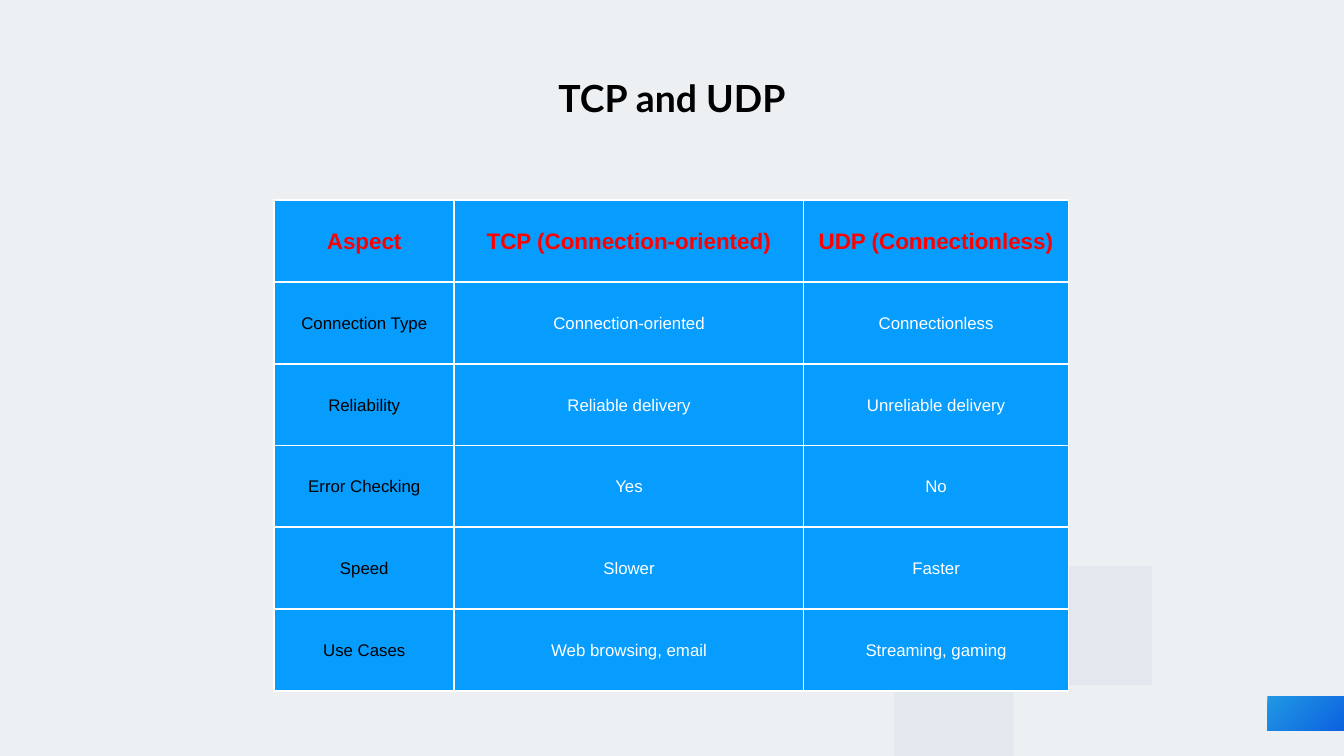
import pptx
import pptx.util
import pptx.dml.color
import pptx.enum.shapes
import pptx.enum.text
import pptx.oxml
import pptx.oxml.ns

Inches, Pt = pptx.util.Inches, pptx.util.Pt
RGBColor = pptx.dml.color.RGBColor
MSO_SHAPE = pptx.enum.shapes.MSO_SHAPE
PP_ALIGN = pptx.enum.text.PP_ALIGN
MSO_ANCHOR = pptx.enum.text.MSO_ANCHOR

BACKGROUND = RGBColor(0xEC, 0xF0, 0xF3)
PALE = RGBColor(0xE2, 0xE8, 0xED)
TAB_START = RGBColor(0x21, 0x98, 0xE4)
TAB_END = RGBColor(0x0C, 0x62, 0xDF)
CELL_BLUE = RGBColor(0x06, 0x9D, 0xFF)
RED = RGBColor(0xFF, 0x00, 0x00)
BLACK = RGBColor(0x00, 0x00, 0x00)
WHITE = RGBColor(0xFF, 0xFF, 0xFF)

ROWS = [
    ("Aspect", "TCP (Connection-oriented)", "UDP (Connectionless)"),
    ("Connection Type", "Connection-oriented", "Connectionless"),
    ("Reliability", "Reliable delivery", "Unreliable delivery"),
    ("Error Checking", "Yes", "No"),
    ("Speed", "Slower", "Faster"),
    ("Use Cases", "Web browsing, email", "Streaming, gaming"),
]
COLUMN_WIDTHS = [1.34, 2.6, 1.97]
TABLE_HEIGHT = 3.65


def add_decoration(slide, preset, left, top, width, height):
    shape = slide.shapes.add_shape(
        preset, Inches(left), Inches(top), Inches(width), Inches(height))
    shape.shadow.inherit = False
    shape.line.fill.background()
    return shape


def add_borders(cell, color, width):
    properties = cell._tc.get_or_add_tcPr()
    for position, side in enumerate(("lnL", "lnR", "lnT", "lnB")):
        properties.insert(position, pptx.oxml.parse_xml(
            f'<a:{side} {pptx.oxml.ns.nsdecls("a")} w="{int(width)}">'
            f'<a:solidFill><a:srgbClr val="{color}"/></a:solidFill></a:{side}>'))


# Widescreen 16:9 slide
prs = pptx.Presentation()
prs.slide_width, prs.slide_height = Inches(10), Inches(10 * 9 / 16)
slide = prs.slides.add_slide(prs.slide_layouts[5])
slide.background.fill.solid()
slide.background.fill.fore_color.rgb = BACKGROUND

# Corner tab and pale plus
tab = add_decoration(slide, MSO_SHAPE.RECTANGLE, 9.43, 5.18, 0.57, 0.26)
tab.fill.gradient()
tab.fill.gradient_angle = 315
for stop, color, position in zip(
        tab.fill.gradient_stops, (TAB_START, TAB_END), (0, 1)):
    stop.color.rgb = color
    stop.position = position

plus = add_decoration(slide, MSO_SHAPE.CROSS, 5.62, 3.18, 2.95, 2.95)
plus.adjustments[0] = 0.35
plus.fill.solid()
plus.fill.fore_color.rgb = PALE

# Title
title = slide.shapes.title
title.left, title.top = Inches(0.62), Inches(0.49)
title.width, title.height = Inches(8.76), Inches(0.55)
title_frame = title.text_frame
title_frame.text = "TCP and UDP"
title_frame.auto_size = pptx.enum.text.MSO_AUTO_SIZE.NONE
title_frame.vertical_anchor = MSO_ANCHOR.TOP
title_frame.margin_left = title_frame.margin_right = Inches(0.07)
title_frame.margin_top = title_frame.margin_bottom = Inches(0.07)
heading = title_frame.paragraphs[0]
heading.alignment = PP_ALIGN.CENTER
heading.font.name = "Lato"
heading.font.size = Pt(20)
heading.font.bold = True
heading.font.color.rgb = BLACK

# Comparison table
comparison = slide.shapes.add_table(
    len(ROWS), len(COLUMN_WIDTHS), Inches(2.04), Inches(1.49),
    Inches(sum(COLUMN_WIDTHS)), Inches(TABLE_HEIGHT)).table
comparison.horz_banding = False
for column, width in zip(comparison.columns, COLUMN_WIDTHS):
    column.width = Inches(width)

for r, texts in enumerate(ROWS):
    for c, text in enumerate(texts):
        is_header = r == 0
        cell = comparison.cell(r, c)
        cell.text = text
        cell.vertical_anchor = MSO_ANCHOR.MIDDLE
        cell.margin_left = cell.margin_right = cell.margin_top = Inches(0.01)
        cell.margin_bottom = 0
        cell.fill.solid()
        cell.fill.fore_color.rgb = CELL_BLUE
        add_borders(cell, WHITE, Pt(1))
        paragraph = cell.text_frame.paragraphs[0]
        paragraph.alignment = PP_ALIGN.CENTER
        paragraph.font.name = "Arial"
        paragraph.font.size = Pt(12 if is_header else 9)
        paragraph.font.bold = is_header
        paragraph.font.color.rgb = RED if is_header else BLACK if c == 0 else WHITE

prs.save("out.pptx")
